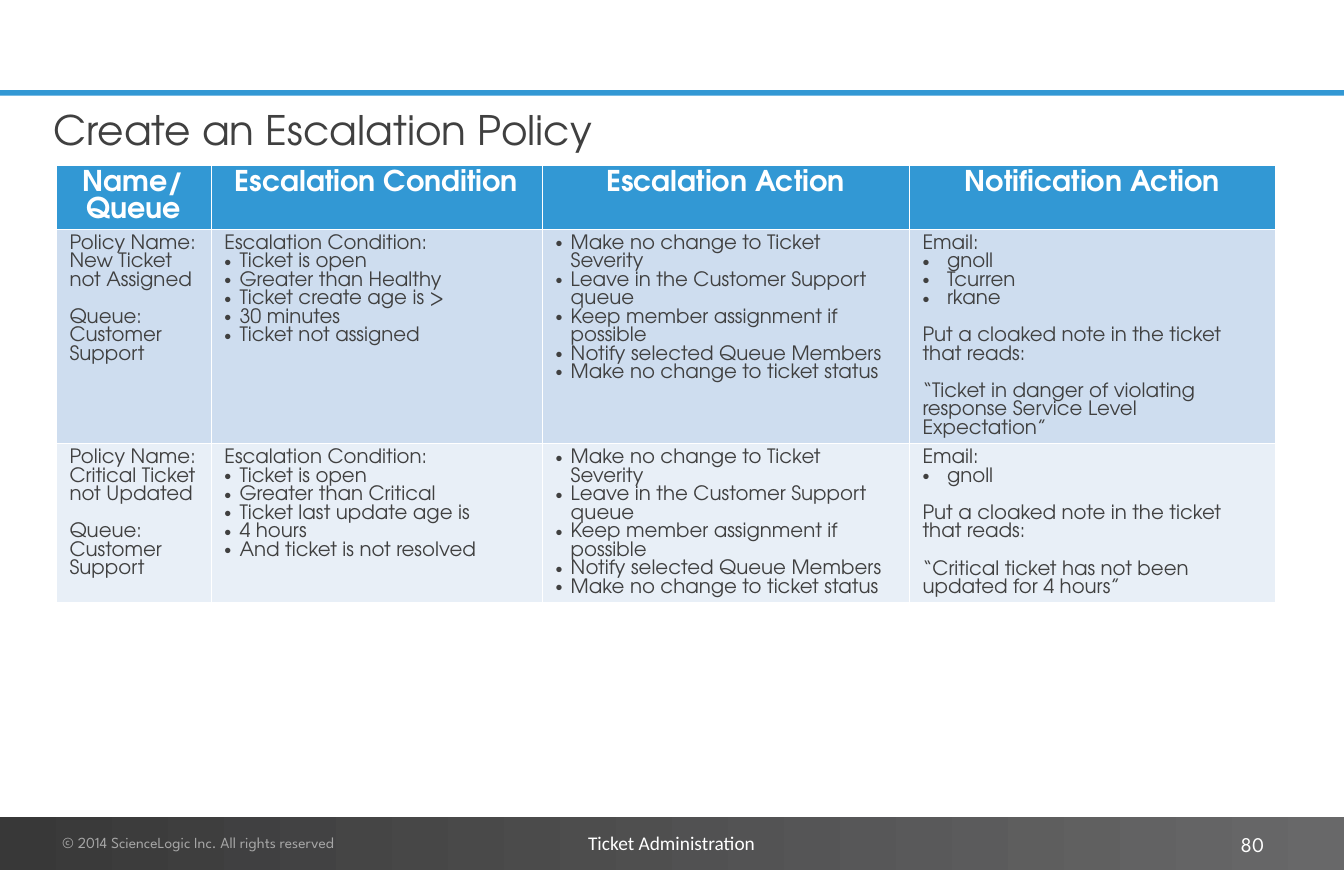
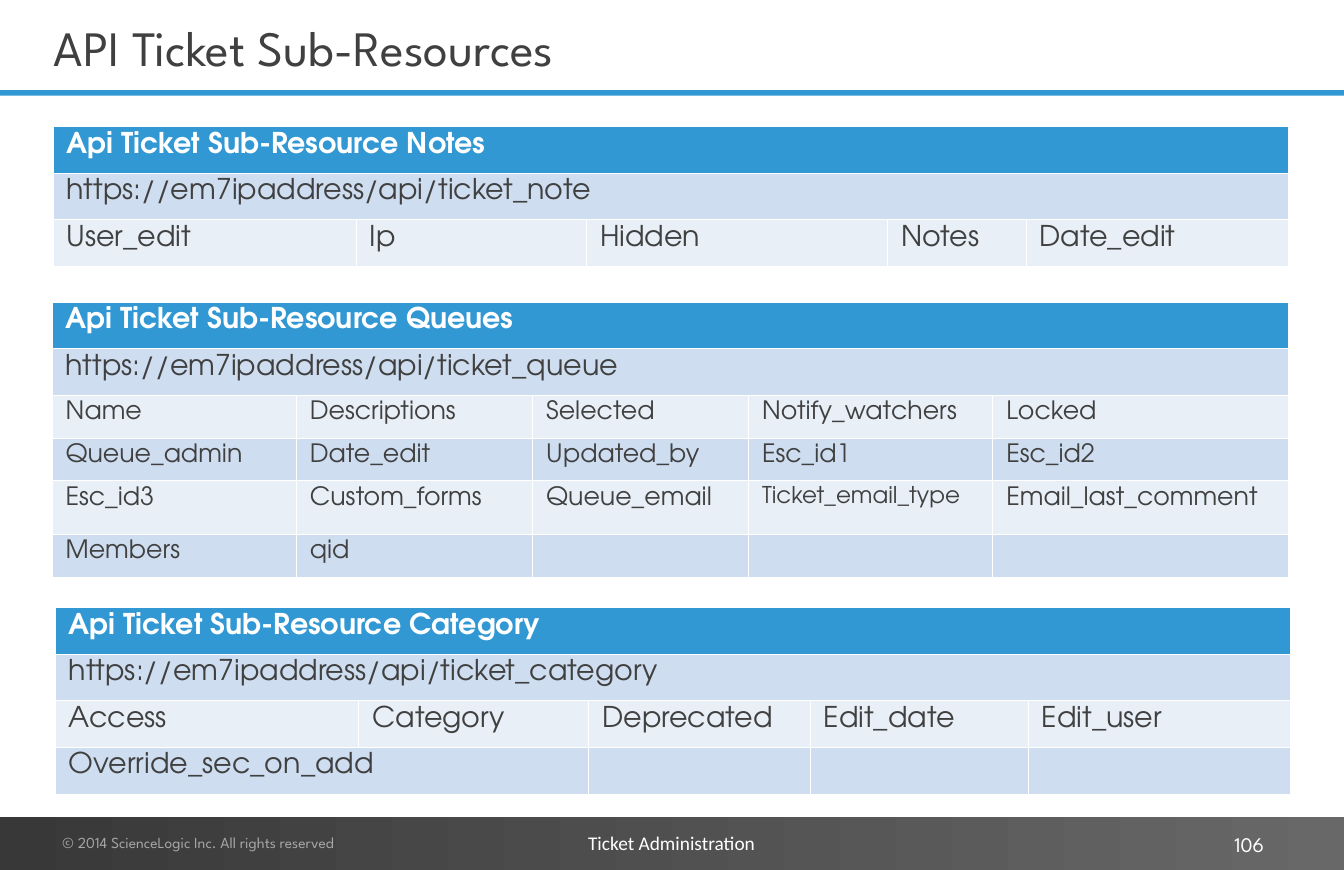
from lxml import etree
from pptx import Presentation
from pptx.dml.color import RGBColor
from pptx.enum.shapes import MSO_SHAPE
from pptx.enum.text import MSO_ANCHOR, MSO_AUTO_SIZE, PP_ALIGN
from pptx.oxml.ns import qn
from pptx.util import Emu, Pt

LEFT, CENTER, RIGHT = PP_ALIGN.LEFT, PP_ALIGN.CENTER, PP_ALIGN.RIGHT
TOP, MIDDLE = MSO_ANCHOR.TOP, MSO_ANCHOR.MIDDLE
RECTANGLE = MSO_SHAPE.RECTANGLE
NO_AUTOSIZE = MSO_AUTO_SIZE.NONE

EMU_PER_PX = 9144
SLIDE_WIDTH, SLIDE_HEIGHT = 1700, 1100
TITLE_ONLY_LAYOUT = 5
BLANK_LINE = 17

COLORS = {
    "blue": "3298D4",
    "light": "CEDDEF",
    "pale": "E8EFF7",
    "text": "404040",
    "white": "FFFFFF",
    "muted": "A6A6A6",
    "footer_start": "383838",
    "footer_end": "686869",
}
TITLE_FONT = "League Spartan"
BODY_FONT = "TeX Gyre Adventor"
FOOTER_FONT = "Calibri"


def px(length):
    """Turn a length in px into EMU."""
    return Emu(length * EMU_PER_PX)


def rgb(name):
    """Look up a palette colour."""
    return RGBColor.from_string(COLORS[name])


def add_bullet(paragraph, hang):
    """Give a paragraph a round bullet with a hanging indent."""
    properties = paragraph._p.get_or_add_pPr()
    properties.set("marL", str(px(hang)))
    properties.set("indent", str(px(-hang)))
    etree.SubElement(properties, qn("a:buFont")).set("typeface", "Arial")
    etree.SubElement(properties, qn("a:buChar")).set("char", "•")


def write_paragraph(paragraph, text, size=18, font=BODY_FONT, color="text", bold=False,
                    align=LEFT, hang=0, before=0, line_spacing=None):
    """Fill one paragraph with formatted text."""
    if hang:
        add_bullet(paragraph, hang)
    paragraph.alignment = align
    paragraph.space_before = Pt(before)
    if line_spacing:
        paragraph.line_spacing = line_spacing
    run = paragraph.add_run()
    run.text = text
    run.font.size = Pt(size)
    run.font.name = font
    run.font.bold = bold
    run.font.color.rgb = rgb(color)


def write(frame, lines, **text_format):
    """Write lines, each a string or a dict that overrides the shared format."""
    for index, line in enumerate(lines):
        paragraph = frame.add_paragraph() if index else frame.paragraphs[0]
        details = line if isinstance(line, dict) else {"text": line}
        write_paragraph(paragraph, **{**text_format, **details})


def bullets(*texts, hang=19):
    """Describe a bulleted list."""
    return [{"text": text, "hang": hang} for text in texts]


def after_gap(text):
    """Describe a paragraph set one line below the one before."""
    return {"text": text, "before": BLANK_LINE}


def set_frame(frame, inset=(16, 8), anchor=TOP, wrap=True):
    """Set the insets, anchor and wrapping of a text frame."""
    frame.auto_size = NO_AUTOSIZE
    frame.word_wrap = wrap
    frame.vertical_anchor = anchor
    frame.margin_left = frame.margin_right = px(inset[0])
    frame.margin_top = frame.margin_bottom = px(inset[1])


def add_text(slide, box, text, inset=(16, 8), anchor=TOP, wrap=True, **text_format):
    """Add a text box."""
    shape = slide.shapes.add_textbox(*map(px, box))
    set_frame(shape.text_frame, inset, anchor, wrap)
    write(shape.text_frame, [text], **text_format)
    return shape


def set_title(slide, box, text, anchor=TOP, **text_format):
    """Move and fill the title placeholder."""
    title = slide.shapes.title
    title.left, title.top, title.width, title.height = map(px, box)
    set_frame(title.text_frame, anchor=anchor)
    write(title.text_frame, [text], **text_format)


def add_band(slide, top, height):
    """Add a full-width band with no outline."""
    band = slide.shapes.add_shape(RECTANGLE, 0, px(top), px(SLIDE_WIDTH), px(height))
    band.shadow.inherit = False
    band.line.fill.background()
    return band


def furnish_layout(layout, slide):
    """Build the shared bands and copyright line and move them to the layout."""
    rule = add_band(slide, 114, 7)
    rule.fill.solid()
    rule.fill.fore_color.rgb = rgb("blue")
    footer = add_band(slide, 1033, SLIDE_HEIGHT - 1033)
    footer.fill.gradient()
    footer.fill.gradient_angle = 0
    for stop, position, color in zip(footer.fill.gradient_stops, (0, 1),
                                     ("footer_start", "footer_end")):
        stop.position = position
        stop.color.rgb = rgb(color)
    notice = add_text(slide, (63, 1046, 500, 40), "© 2014 ScienceLogic Inc. All rights reserved",
                      size=14, font=TITLE_FONT, color="muted")
    for shape in (rule, footer, notice):
        layout.shapes.element.append(shape.element)


def add_footer(slide, number):
    """Add the chapter name and the page number."""
    add_text(slide, (1218, 1046, 397, 43), number, anchor=MIDDLE,
             size=19, font=TITLE_FONT, color="white", align=RIGHT)
    add_text(slide, (734, 1046, 233, 40), "Ticket Administration", inset=(10, 5), wrap=False,
             size=17.6, font=FOOTER_FONT, color="white")


def add_table(slide, left, top, widths, rows, header_align=LEFT):
    """Add a table of (height, text size, cells) rows; None extends the cell before it."""
    heights = [height for height, _, _ in rows]
    table = slide.shapes.add_table(len(rows), len(widths), px(left), px(top),
                                   px(sum(widths)), px(sum(heights))).table
    for column, width in zip(table.columns, widths):
        column.width = px(width)
    for row_index, (height, size, contents) in enumerate(rows):
        table.rows[row_index].height = px(height)
        header = row_index == 0
        fill = "blue" if header else ("pale", "light")[row_index % 2]
        text_format = {"size": size, "bold": header, "color": "white" if header else "text",
                       "align": header_align if header else LEFT}
        for column_index, content in enumerate(contents):
            cell = table.cell(row_index, column_index)
            cell.fill.solid()
            cell.fill.fore_color.rgb = rgb(fill)
            cell.margin_left = cell.margin_right = px(17)
            cell.margin_top = cell.margin_bottom = px(7)
            if content:
                lines = [content] if isinstance(content, (str, dict)) else content
                write(cell.text_frame, lines, **text_format)
                end = column_index + 1
                while end < len(contents) and contents[end] is None:
                    end += 1
                if end > column_index + 1:
                    cell.merge(table.cell(row_index, end - 1))


def add_resource_table(slide, left, top, widths, name, field_rows):
    """Add a table of one API sub-resource."""
    extension = [None] * (len(widths) - 1)
    heading = f"Api Ticket Sub-Resource {name}"
    address = {"Notes": "note", "Queues": "queue", "Category": "category"}[name]
    rows = [(59, 26, [heading, *extension]),
            (59, 26, [f"https://em7ipaddress/api/ticket_{address}", *extension])]
    add_table(slide, left, top, widths, rows + field_rows)


def build_policy_slide(slide):
    """Fill the escalation policy slide."""
    set_title(slide, (52, 132, 1563, 74), "Create an Escalation Policy",
              size=37, line_spacing=0.9)
    actions = bullets("Make no change to Ticket Severity",
                      "Leave in the Customer Support queue",
                      "Keep member assignment if possible",
                      "Notify selected Queue Members",
                      "Make no change to ticket status")
    note = after_gap("Put a cloaked note in the ticket that reads:")
    new_ticket = [
        ["Policy Name:", "New Ticket not Assigned", after_gap("Queue:"), "Customer Support"],
        ["Escalation Condition:",
         *bullets("Ticket is open", "Greater than Healthy", "Ticket create age is >",
                  "30 minutes", "Ticket not assigned")],
        actions,
        ["Email:", *bullets("gnoll", "Tcurren", "rkane", hang=31), note,
         after_gap("“Ticket in danger of violating response Service Level Expectation”")],
    ]
    critical_ticket = [
        ["Policy Name:", "Critical Ticket not Updated", after_gap("Queue: Customer Support")],
        ["Escalation Condition:",
         *bullets("Ticket is open", "Greater than Critical", "Ticket last update age is",
                  "4 hours", "And ticket is not resolved")],
        actions,
        ["Email:", *bullets("gnoll", hang=31), note,
         after_gap("“Critical ticket has not been updated for 4 hours”")],
    ]
    header = [["Name/", "Queue"], "Escalation Condition", "Escalation Action",
              "Notification Action"]
    add_table(slide, 71, 209, (196, 419, 464, 464),
              [(80, 26, header), (271, 18, new_ticket), (200, 18, critical_ticket)],
              header_align=CENTER)
    add_footer(slide, "80")


def build_resources_slide(slide):
    """Fill the API sub-resources slide."""
    set_title(slide, (52, 1, 1485, 117), "API Ticket Sub-Resources", anchor=MIDDLE,
              size=45, font=TITLE_FONT)
    add_resource_table(slide, 67, 160, (384, 291, 381, 175, 332), "Notes", [
        (59, 26, ["User_edit", "Ip", "Hidden", "Notes", "Date_edit"]),
    ])
    add_resource_table(slide, 66, 382, (309, 299, 273, 309, 374), "Queues", [
        (54, 23, ["Name", "Descriptions", "Selected", "Notify_watchers", "Locked"]),
        (54, 23, ["Queue_admin", "Date_edit", "Updated_by", "Esc_id1", "Esc_id2"]),
        (68, 23, ["Esc_id3", "Custom_forms", "Queue_email",
                  {"text": "Ticket_email_type", "size": 21}, "Email_last_comment"]),
        (54, 23, ["Members", "qid", "", "", ""]),
    ])
    add_resource_table(slide, 70, 768, (384, 291, 280, 276, 332), "Category", [
        (59, 26, ["Access", "Category", "Deprecated", "Edit_date", "Edit_user"]),
        (59, 26, ["Override_sec_on_add", None, "", "", ""]),
    ])
    add_footer(slide, "106")


def main():
    """Build and save the presentation."""
    presentation = Presentation()
    presentation.slide_width, presentation.slide_height = px(SLIDE_WIDTH), px(SLIDE_HEIGHT)
    layout = presentation.slide_layouts[TITLE_ONLY_LAYOUT]
    policy_slide, resources_slide = [presentation.slides.add_slide(layout) for _ in range(2)]
    furnish_layout(layout, policy_slide)
    build_policy_slide(policy_slide)
    build_resources_slide(resources_slide)
    presentation.save("out.pptx")


if __name__ == "__main__":
    main()
